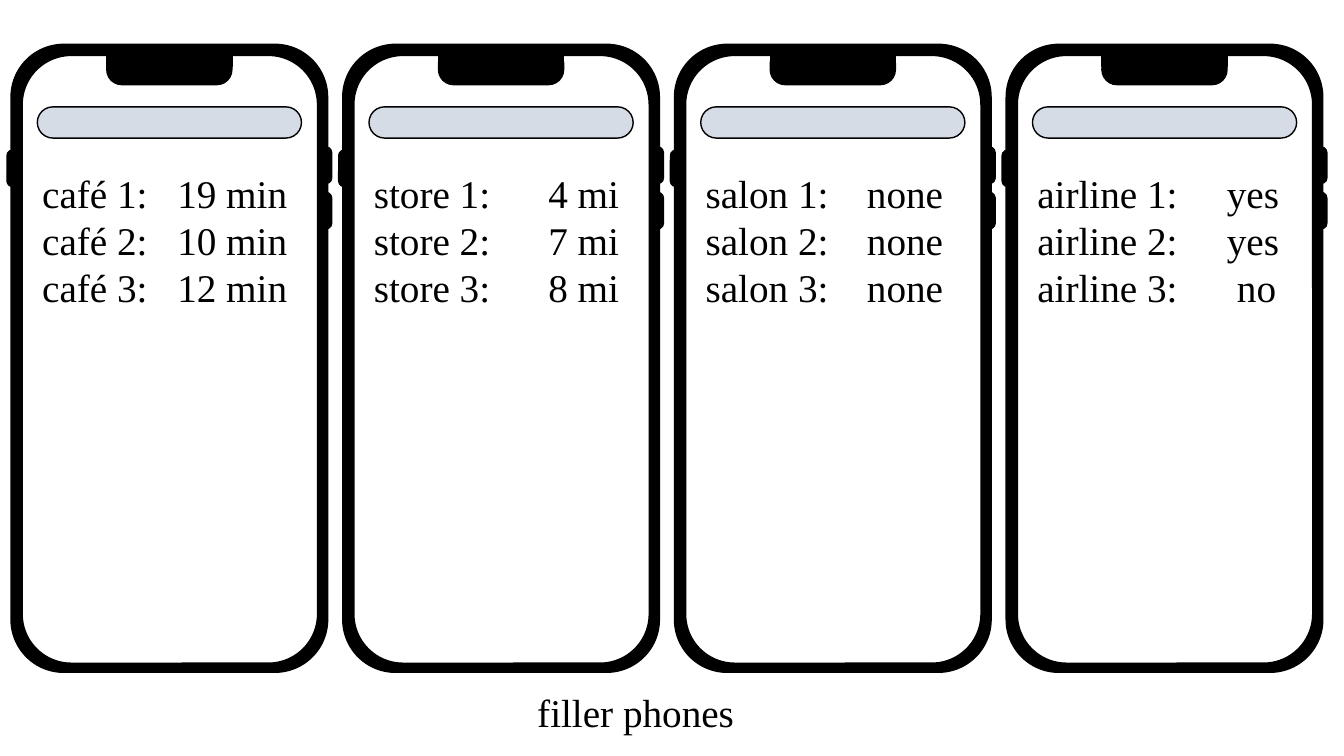
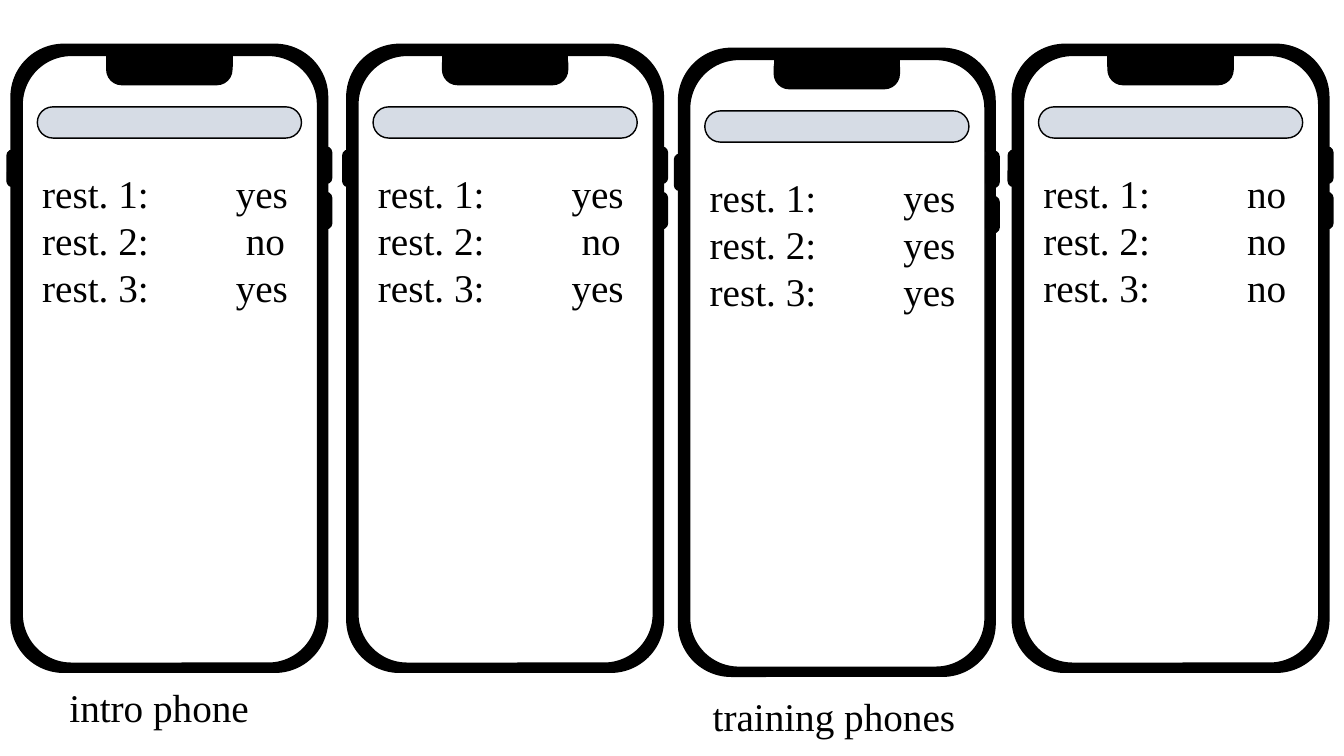
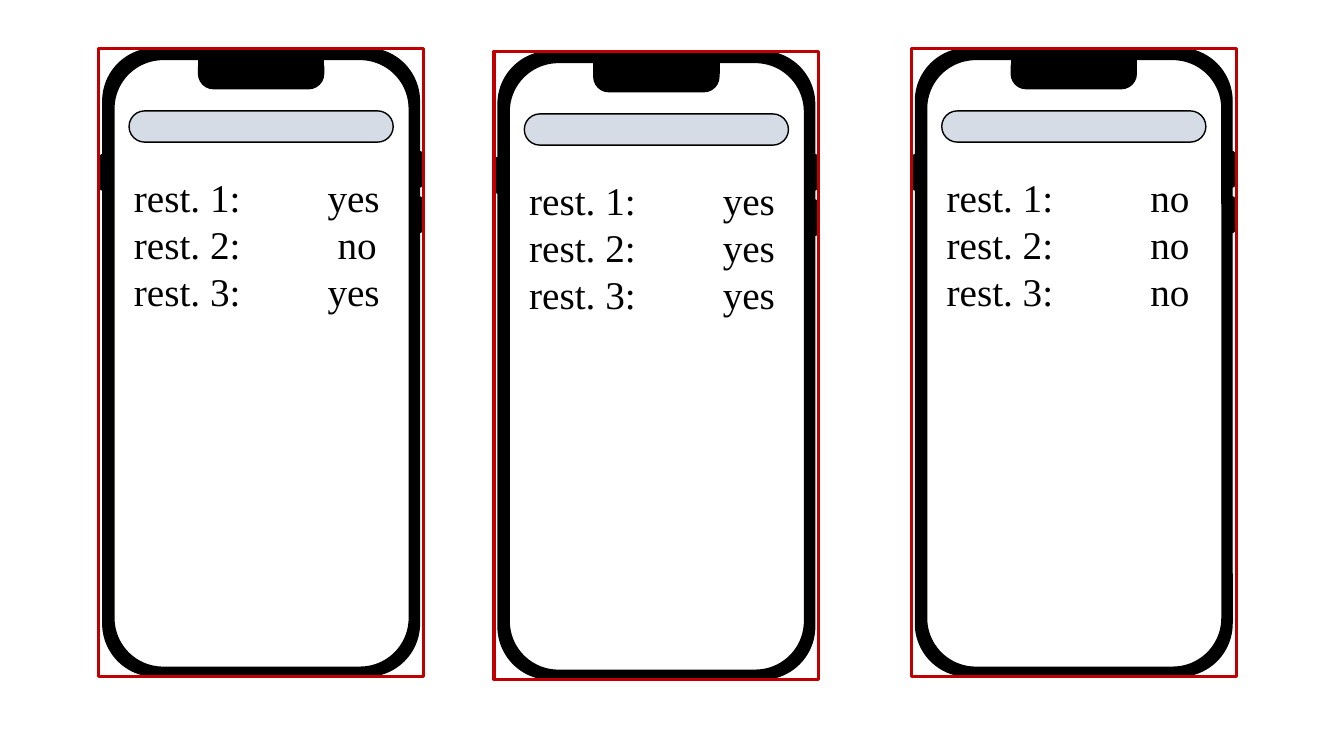
"""Builds three slides of phone mock-ups with short lists on their screens."""
import dataclasses

import lxml.etree
import pptx
import pptx.dml.color
import pptx.enum.shapes
import pptx.enum.text
import pptx.oxml.ns
import pptx.util

Inches = pptx.util.Inches
MSO_SHAPE = pptx.enum.shapes.MSO_SHAPE


@dataclasses.dataclass(frozen=True)
class Theme:
    font: str = "Times New Roman"
    text_size: float = 28
    ink: str = "000000"
    paper: str = "FFFFFF"
    bar: str = "D6DCE5"
    highlight: str = "C00000"
    thin: float = 1
    thick: float = 2.25


class Deck:
    PHONE_WIDTH, PHONE_HEIGHT = 3.14, 6.23
    TEXT_WIDTH = 2.69
    BUTTONS = ((-0.04, 1.05), (3.05, 1.02), (3.05, 1.47))
    SHORT_VALUE_SHIFT = 0.1

    def __init__(self, theme):
        self.theme = theme
        self.prs = pptx.Presentation()
        self.prs.slide_width = Inches(13.33)
        self.prs.slide_height = Inches(7.5)
        self.s = None

    def slide(self):
        self.s = self.prs.slides.add_slide(self.prs.slide_layouts[6])

    def shape(self, parent, x, y, w, h, fill=None, adj=None,
              kind=MSO_SHAPE.ROUNDED_RECTANGLE, line=None, weight=None):
        sp = parent.shapes.add_shape(kind, Inches(x), Inches(y), Inches(w), Inches(h))
        sp.shadow.inherit = False
        if fill:
            sp.fill.solid()
            sp.fill.fore_color.rgb = pptx.dml.color.RGBColor.from_string(fill)
        else:
            sp.fill.background()
        sp.line.color.rgb = pptx.dml.color.RGBColor.from_string(line or self.theme.ink)
        sp.line.width = pptx.util.Pt(weight or self.theme.thin)
        if adj is not None:
            sp.adjustments[0] = adj

    def text(self, parent, x, y, h, lines):
        sp = parent.shapes.add_textbox(Inches(x), Inches(y), Inches(self.TEXT_WIDTH), Inches(h))
        tf = sp.text_frame
        tf.word_wrap = True
        tf.auto_size = pptx.enum.text.MSO_AUTO_SIZE.SHAPE_TO_FIT_TEXT
        for i, (line, stop) in enumerate(lines):
            p = tf.add_paragraph() if i else tf.paragraphs[0]
            if stop:
                self.tab_stop(p, stop)
            r = p.add_run()
            r.text = line
            r.font.name = self.theme.font
            r.font.size = pptx.util.Pt(self.theme.text_size)
            r.font.color.rgb = pptx.dml.color.RGBColor.from_string(self.theme.ink)

    def tab_stop(self, p, stop):
        qn = pptx.oxml.ns.qn
        tabs = lxml.etree.SubElement(p._p.get_or_add_pPr(), qn("a:tabLst"))
        lxml.etree.SubElement(tabs, qn("a:tab"), pos=str(Inches(stop)), algn="l")

    def caption(self, x, y, words):
        self.text(self.s, x, y, 0.57, [(words, None)])

    def phone(self, x, y, label, values, stop, framed=False):
        t = self.theme
        grp = self.s.shapes.add_group_shape()
        self.shape(grp, x, y, self.PHONE_WIDTH, self.PHONE_HEIGHT, t.ink)
        self.shape(grp, x + 0.11, y + 0.11, 2.93, 6.03, t.paper)
        self.shape(grp, x + 0.95, y + 0.04, 1.24, 0.36, t.ink, 0.411)
        self.shape(grp, x + 0.95, y + 0.03, 1.24, 0.19, t.ink, 0)
        lines = [(f"{label} {n}:\t{value}",
                  stop + (self.SHORT_VALUE_SHIFT if value == "no" else 0))
                 for n, value in enumerate(values, 1)]
        self.text(grp, x + 0.21, y + 1.19, 1.51, lines)
        for dx, dy in self.BUTTONS:
            self.shape(grp, x + dx, y + dy, 0.13, 0.36, t.ink, 0.411)
        self.shape(grp, x + 0.26, y + 0.62, 2.62, 0.31, t.bar, 0.5)
        if framed:
            self.shape(grp, x - 0.04, y, self.PHONE_WIDTH + 0.08, self.PHONE_HEIGHT,
                       kind=MSO_SHAPE.RECTANGLE, line=t.highlight, weight=t.thick)


def main():
    deck = Deck(Theme())
    mixed, all_yes, all_no = ("yes", "no", "yes"), ("yes",) * 3, ("no",) * 3
    restaurant_stop = 1.92

    deck.slide()
    fillers = (
        ("café", ("19 min", "10 min", "12 min"), 1.34),
        ("store", ("4 mi", "7 mi", "8 mi"), 1.73),
        ("salon", ("none",) * 3, 1.6),
        ("airline", ("yes", "yes", "no"), 1.88),
    )
    for i, (label, values, stop) in enumerate(fillers):
        deck.phone(0.11 + 3.29 * i, 0.44, label, values, stop)
    deck.caption(5.23, 6.78, "filler phones")

    deck.slide()
    for x, y, values in ((0.11, 0.44, mixed), (3.44, 0.44, mixed),
                         (6.73, 0.48, all_yes), (10.04, 0.44, all_no)):
        deck.phone(x, y, "rest.", values, restaurant_stop)
    deck.caption(0.59, 6.73, "intro phone")
    deck.caption(6.97, 6.82, "training phones")

    deck.slide()
    for x, y, values in ((1.02, 0.48, mixed), (4.94, 0.51, all_yes), (9.08, 0.48, all_no)):
        deck.phone(x, y, "rest.", values, restaurant_stop, framed=True)

    deck.prs.save("out.pptx")


if __name__ == "__main__":
    main()
